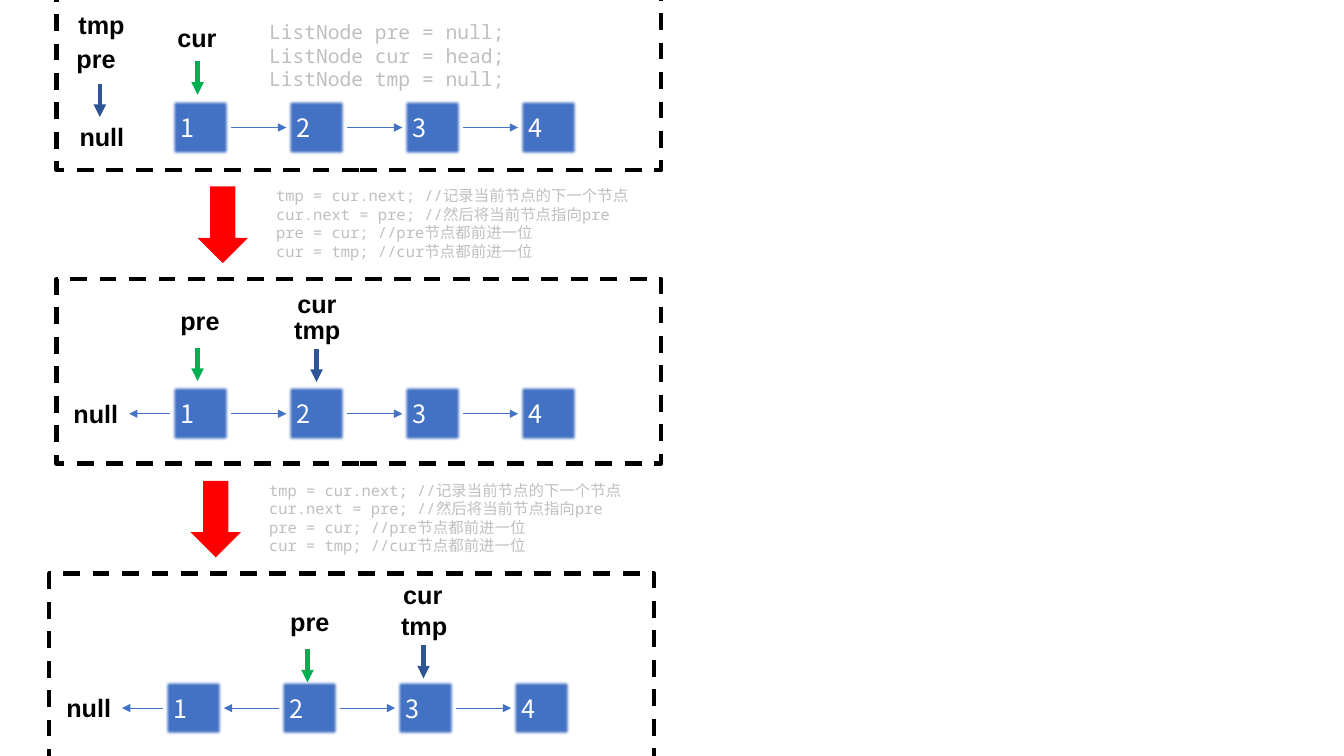
"""Build a slide that shows a linked list being reversed in three stages."""
import lxml.etree
import pptx
import pptx.dml.color
import pptx.enum.dml
import pptx.enum.shapes
import pptx.enum.text
import pptx.oxml.ns
import pptx.util

Inches, Pt = pptx.util.Inches, pptx.util.Pt
qn = pptx.oxml.ns.qn
SHAPE = pptx.enum.shapes.MSO_SHAPE
AUTO = pptx.enum.text.MSO_AUTO_SIZE.SHAPE_TO_FIT_TEXT
HUES = {"node": "4472C4", "green": "00B050", "navy": "2F5597", "red": "FF0000",
        "black": "000000", "white": "FFFFFF", "gray": "BFBFBF"}
RGB = {name: pptx.dml.color.RGBColor.from_string(hue) for name, hue in HUES.items()}
FONTS = {
    "node": ("white", {"name": "Noto Sans CJK SC", "size": Pt(18)}),
    "label": ("black", {"name": "Arial", "size": Pt(18), "bold": True}),
    "setup": ("gray", {"name": "Noto Sans Mono", "size": Pt(14)}),
    "step": ("gray", {"name": "Noto Sans Mono", "size": Pt(11)}),
}
WIDTHS = {"cur": 0.59, "pre": 0.59, "tmp": 0.66, "null": 0.65}
SETUP = ["ListNode pre = null;", "ListNode cur = head;", "ListNode tmp = null;"]
STEP = ["tmp = cur.next; //记录当前节点的下一个节点",
        "cur.next = pre; //然后将当前节点指向pre",
        "pre = cur; //pre节点都前进一位",
        "cur = tmp; //cur节点都前进一位"]
SIDE, HIGH, PITCH = 0.6, 0.57, 1.15
STAGES = [
    {"left": 0.56, "top": -0.14, "row": 0.98, "turned": 0,
     "labels": [("cur", 1.66, 0.17), ("pre", 0.66, 0.38),
                ("tmp", 0.68, 0.04), ("null", 0.69, 1.15)],
     "marks": [("green", 1.96, 0.61), ("navy", 0.99, 0.83)]},
    {"left": 0.56, "top": 2.77, "row": 3.82, "turned": 1,
     "labels": [("cur", 2.85, 2.81), ("tmp", 2.82, 3.07),
                ("pre", 1.69, 2.98), ("null", 0.63, 3.9)],
     "marks": [("green", 1.96, 3.45), ("navy", 3.14, 3.46)]},
    {"left": 0.49, "top": 5.69, "row": 6.74, "turned": 2,
     "labels": [("cur", 3.9, 5.7), ("tmp", 3.88, 6.01),
                ("pre", 2.78, 5.97), ("null", 0.56, 6.82)],
     "marks": [("green", 3.05, 6.44), ("navy", 4.2, 6.4)]},
]

deck = pptx.Presentation()
deck.slide_width, deck.slide_height = Inches(13.33), Inches(7.5)
slide = deck.slides.add_slide(deck.slide_layouts[6])
shapes = slide.shapes


def write(frame, lines, style):
    """Fill a text frame with lines in one of the font styles."""
    hue, form = FONTS[style]
    frame.text = "\n".join(lines)
    for para in frame.paragraphs:
        font = para.runs[0].font
        font.color.rgb = RGB[hue]
        for key, value in form.items():
            setattr(font, key, value)


def arrow(x1, y1, x2, y2, hue, width):
    """Draw a straight arrow between two points."""
    link = shapes.add_connector(pptx.enum.shapes.MSO_CONNECTOR.STRAIGHT,
                                *map(Inches, (x1, y1, x2, y2)))
    link.line.color.rgb = RGB[hue]
    link.line.width = Pt(width)
    props = link.element.spPr
    lxml.etree.SubElement(props.find(qn("a:ln")), qn("a:tailEnd"), type="triangle")
    lxml.etree.SubElement(props, qn("a:effectLst"))


for stage in STAGES:
    left, row = stage["left"] + 1.13, stage["row"]
    mid = row + HIGH / 2
    for spot in range(4):
        x = left + spot * PITCH
        node = shapes.add_shape(SHAPE.RECTANGLE, *map(Inches, (x, row, SIDE, HIGH)))
        node.shadow.inherit = False
        node.fill.solid()
        node.fill.fore_color.rgb = RGB["node"]
        node.line.fill.background()
        glow = node.element.spPr.find(qn("a:effectLst"))
        lxml.etree.SubElement(glow, qn("a:softEdge"), rad=str(Pt(2.5)))
        write(node.text_frame, [str(spot + 1)], "node")

        back = x - PITCH + SIDE if spot else x - 0.41
        if spot < stage["turned"]:
            arrow(x, mid, back, mid, "node", 0.5)
        elif spot:
            arrow(back, mid, x, mid, "node", 0.5)

    for word, x, y in stage["labels"]:
        label = shapes.add_textbox(*map(Inches, (x, y, WIDTHS[word], 0.4)))
        label.text_frame.word_wrap = False
        label.text_frame.auto_size = AUTO
        write(label.text_frame, [word], "label")
    for hue, x, y in stage["marks"]:
        arrow(x, y, x, y + 0.33, hue, 3)

    frame = shapes.add_shape(SHAPE.RECTANGLE,
                             *map(Inches, (stage["left"], stage["top"], 6, 1.83)))
    frame.shadow.inherit = False
    frame.fill.background()
    frame.line.color.rgb = RGB["black"]
    frame.line.width = Pt(3)
    frame.line.dash_style = pptx.enum.dml.MSO_LINE.DASH

for x, y in [(1.96, 1.85), (1.89, 4.77)]:
    down = shapes.add_shape(SHAPE.DOWN_ARROW, *map(Inches, (x, y, 0.5, 0.76)))
    down.shadow.inherit = False
    down.fill.solid()
    down.fill.fore_color.rgb = RGB["red"]
    down.line.fill.background()

for lines, style, place in [(SETUP, "setup", (2.57, 0.15, 2.54, 0.81)),
                            (STEP, "step", (2.64, 1.8, 3.92, 0.84)),
                            (STEP, "step", (2.57, 4.72, 3.92, 0.84))]:
    code = shapes.add_textbox(*map(Inches, place))
    code.text_frame.word_wrap = True
    code.text_frame.auto_size = AUTO
    write(code.text_frame, lines, style)

deck.save("out.pptx")
